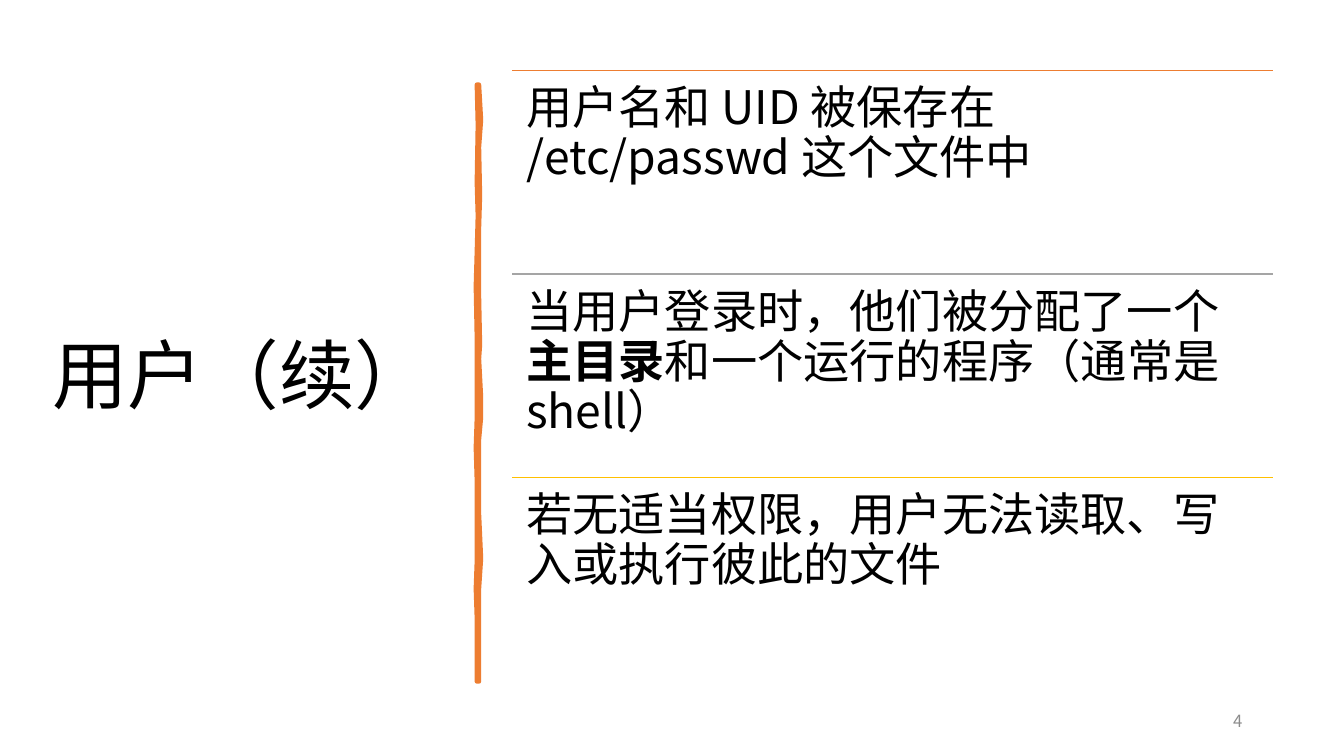
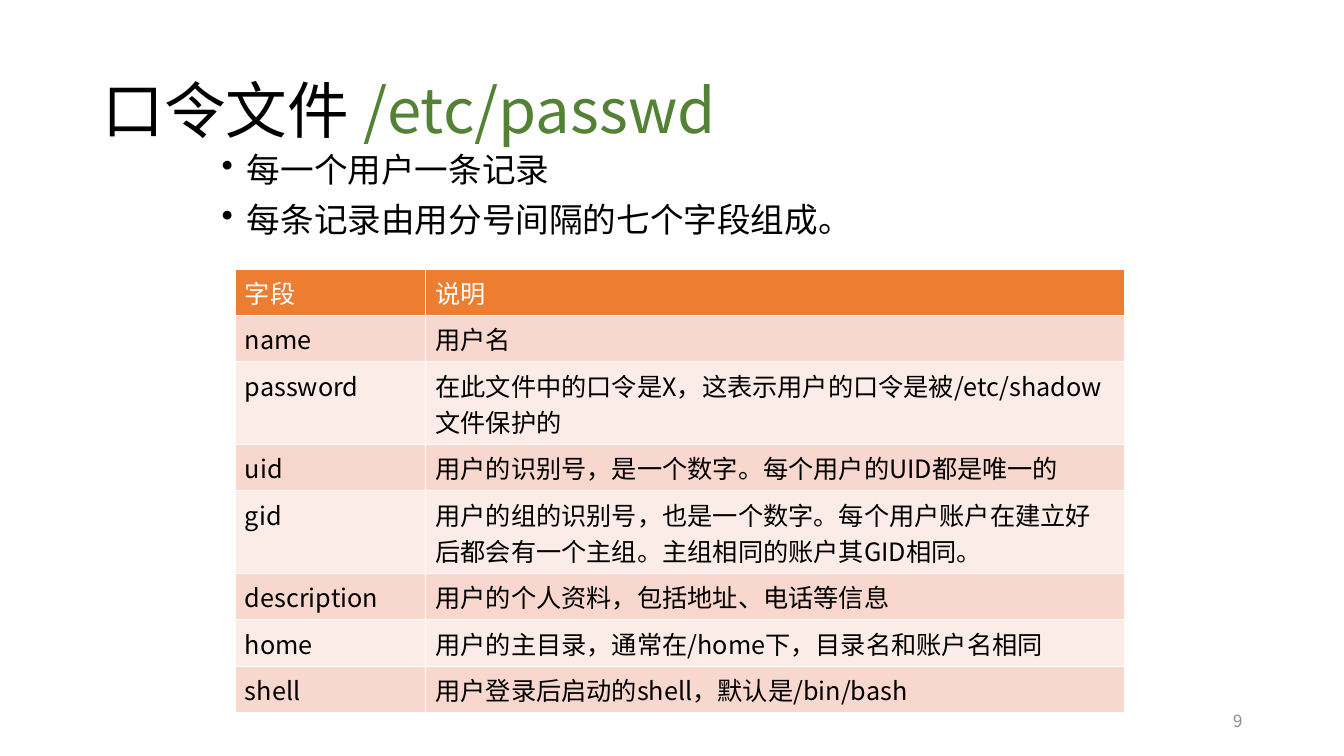
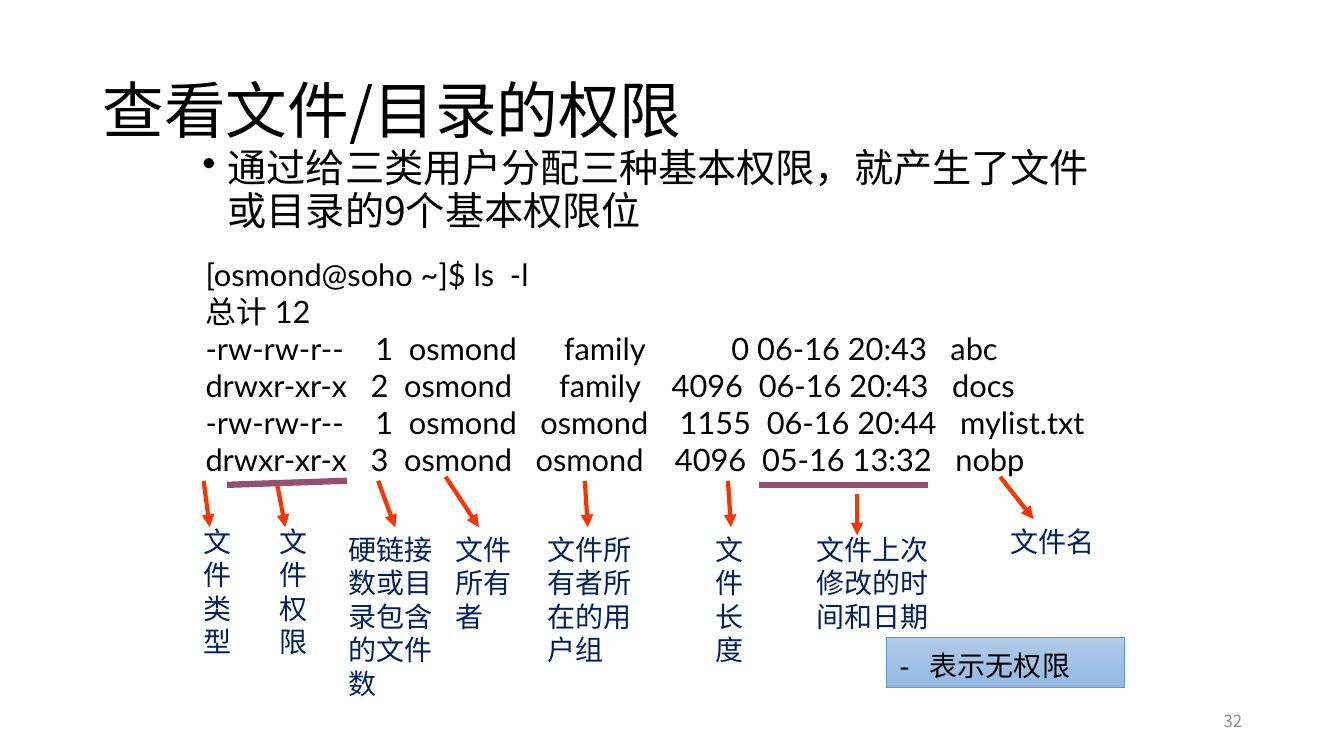
from lxml import etree
from pptx import Presentation
from pptx.dml.color import RGBColor
from pptx.enum.shapes import MSO_CONNECTOR, MSO_SHAPE
from pptx.enum.text import MSO_ANCHOR, PP_ALIGN
from pptx.oxml.ns import qn
from pptx.util import Pt

PX = 9144
STRAIGHT = MSO_CONNECTOR.STRAIGHT
RECT = MSO_SHAPE.RECTANGLE
TOP, MIDDLE = MSO_ANCHOR.TOP, MSO_ANCHOR.MIDDLE
LEFT, RIGHT = PP_ALIGN.LEFT, PP_ALIGN.RIGHT
SANS, LATO, MONO = "Noto Sans CJK SC", "Lato", "Courier New"
TIGHT = 0.9

COLORS = {
    "text": "000000",
    "white": "FFFFFF",
    "orange": "ED7D31",
    "gray": "A5A5A5",
    "gold": "FFC000",
    "green": "548235",
    "navy": "002060",
    "page": "8C8C8C",
    "band_dark": "F8D7CE",
    "band_light": "FCECE8",
    "arrow": "FF3300",
    "underline": "954F72",
    "note_line": "5B9BD5",
    "note_top": "B1CBE9",
    "note_bottom": "93B9E4",
}
TITLE_BOX = (92, 40, 1150, 145)
PAGE_BOX = (942, 695, 300, 40)


def rgb(name):
    return RGBColor.from_string(COLORS[name])


def emu(*lengths):
    return [n * PX for n in lengths]


def style(p, size, color="text", font=SANS, spacing=None, align=LEFT):
    p.alignment = align
    if spacing:
        p.line_spacing = spacing
    p.font.size = Pt(size)
    p.font.name = font
    p.font.bold = False
    p.font.color.rgb = rgb(color)
    props = p._p.get_or_add_pPr().find(qn("a:defRPr"))
    etree.SubElement(props, qn("a:ea")).set("typeface", font)


def add_bullet(p):
    pPr = p._p.get_or_add_pPr()
    pPr.set("marL", str(25 * PX))
    pPr.set("indent", str(-25 * PX))
    bullet = etree.Element(qn("a:buChar"))
    bullet.set("char", "•")
    pPr.find(qn("a:defRPr")).addprevious(bullet)


def write(tf, paragraphs, size, bullets=False, **kw):
    for i, runs in enumerate(paragraphs):
        p = tf.add_paragraph() if i else tf.paragraphs[0]
        for text, color, bold in runs:
            r = p.add_run()
            r.text = text
            if color:
                r.font.color.rgb = rgb(color)
            if bold:
                r.font.bold = True
        style(p, size, **kw)
        if bullets:
            p.space_before = Pt(10)
            add_bullet(p)


def plain(*lines):
    return [[(line, None, False)] for line in lines]


def add_text(s, box, paragraphs, size, anchor=TOP, inset=None, **kw):
    tf = s.shapes.add_textbox(*emu(*box)).text_frame
    tf.word_wrap = True
    tf.vertical_anchor = anchor
    if inset:
        tf.margin_left = tf.margin_right = inset * PX
        tf.margin_top = tf.margin_bottom = inset * PX
    write(tf, paragraphs, size, **kw)


def add_line(s, start, end, color, width, arrow=False):
    c = s.shapes.add_connector(STRAIGHT, *emu(*start, *end))
    c.line.color.rgb = rgb(color)
    c.line.width = Pt(width)
    if arrow:
        tail = etree.SubElement(c.line._get_or_add_ln(), qn("a:tailEnd"))
        tail.set("type", "triangle")
    etree.SubElement(c._element.spPr, qn("a:effectLst"))


def new_slide(prs, number, title, title_box=TITLE_BOX, title_size=44):
    s = prs.slides.add_slide(prs.slide_layouts[6])
    add_text(s, title_box, title, title_size, MIDDLE, spacing=TIGHT)
    add_text(s, PAGE_BOX, plain(str(number)), 12, MIDDLE, color="page", align=RIGHT)
    return s


def add_brush_stroke(s, x, y):
    right = [(2, 0), (4, 35), (2, 62), (3, 110), (2, 142), (2, 210), (3, 258),
             (2, 272), (4, 310), (4, 330), (2, 352), (2, 426), (4, 470),
             (2, 500), (2, 592)]
    left = [(0, 592), (0, 529), (-1, 500), (0, 473), (0, 393), (-1, 360),
            (0, 331), (0, 251), (-1, 200), (0, 166), (1, 130), (0, 97),
            (1, 40), (0, 0)]
    (dx, dy), *rest = right + left
    builder = s.shapes.build_freeform(x + dx, y + dy, scale=PX)
    builder.add_line_segments([(x + dx, y + dy) for dx, dy in rest], close=True)
    sp = builder.convert_to_shape()
    sp.shadow.inherit = False
    sp.fill.solid()
    sp.fill.fore_color.rgb = rgb("orange")
    sp.line.color.rgb = rgb("orange")
    sp.line.width = Pt(3.25)


def add_ruled_list(s, box, items):
    x, y, w, h = box
    row = h // len(items)
    for i, (color, runs) in enumerate(items):
        top = y + i * row
        add_line(s, (x, top), (x + w, top), color, 1)
        add_text(s, (x, top, w, row), [runs], 33, inset=14, spacing=TIGHT)


def set_borders(cell):
    tcPr = cell._tc.get_or_add_tcPr()
    for side in "LRTB":
        ln = etree.SubElement(tcPr, qn("a:ln" + side))
        ln.set("w", str(Pt(1)))
        fill = etree.SubElement(ln, qn("a:solidFill"))
        etree.SubElement(fill, qn("a:srgbClr")).set("val", COLORS["white"])


def add_field_table(s, x, y, widths, rows):
    heights = [height for height, *_ in rows]
    frame = s.shapes.add_table(len(rows), len(widths),
                               *emu(x, y, sum(widths), sum(heights)))
    table = frame.table
    for col, width in zip(table.columns, widths):
        col.width = width * PX
    for i, (height, *texts) in enumerate(rows):
        table.rows[i].height = height * PX
        band = "band_dark" if i % 2 else "band_light"
        for j, text in enumerate(texts):
            cell = table.cell(i, j)
            set_borders(cell)
            cell.fill.solid()
            cell.fill.fore_color.rgb = rgb(band if i else "orange")
            write(cell.text_frame, plain(text), 18, color="text" if i else "white")


def add_listing_labels(s, x, y):
    labels = [
        ("文件类型", 0, 0, 50, 143),
        ("文件权限", 75, 0, 58, 143),
        ("硬链接数或目录包含的文件数", 144, 8, 110, 178),
        ("文件所有者", 250, 8, 83, 110),
        ("文件所有者所在的用户组", 341, 8, 108, 143),
        ("文件长度", 508, 8, 58, 143),
        ("文件上次修改的时间和日期", 608, 8, 133, 110),
        ("文件名", 800, 0, 116, 43),
    ]
    for text, dx, dy, w, h in labels:
        add_text(s, (x + dx, y + dy, w, h), plain(text), 20, color="navy")


def add_listing_marks(s, x, y):
    underlines = [(33, 8, 152, 4), (561, 8, 728, 8)]
    arrows = [(10, 4, 16, 50), (83, 8, 91, 50), (183, 4, 200, 50),
              (250, 0, 283, 50), (388, 4, 391, 50), (530, 4, 533, 50),
              (658, 17, 658, 58), (800, 0, 833, 42)]
    for color, width, arrow, marks in (("underline", 4.5, False, underlines),
                                       ("arrow", 3, True, arrows)):
        for x1, y1, x2, y2 in marks:
            add_line(s, (x + x1, y + y1), (x + x2, y + y2), color, width, arrow)


def add_note(s, box, text):
    sp = s.shapes.add_shape(RECT, *emu(*box))
    sp.shadow.inherit = False
    sp.fill.gradient()
    sp.fill.gradient_angle = 270
    for stop, color in zip(sp.fill.gradient_stops, ("note_top", "note_bottom")):
        stop.color.rgb = rgb(color)
    sp.line.color.rgb = rgb("note_line")
    sp.line.width = Pt(0.5)
    tf = sp.text_frame
    tf.word_wrap = True
    tf.vertical_anchor = TOP
    write(tf, plain(text), 20, font=MONO, spacing=1.2)


def users_slide(prs):
    s = new_slide(prs, 4, plain("用户（续）"), (42, 70, 401, 611), 54)
    add_brush_stroke(s, 473, 84)
    add_ruled_list(s, (508, 70, 755, 606), [
        ("orange", [("用户名和 UID 被保存在 /etc/passwd 这个文件中", None, False)]),
        ("gray", [("当用户登录时，他们被分配了一个", None, False),
                  ("主目录", None, True),
                  ("和一个运行的程序（通常是 shell）", None, False)]),
        ("gold", [("若无适当权限，用户无法读取、写入或执行彼此的文件", None, False)]),
    ])


def passwd_slide(prs):
    s = new_slide(prs, 9, [[("口令文件 ", None, False),
                            ("/etc/passwd", "green", False)]])
    add_text(s, (210, 147, 900, 106),
             plain("每一个用户一条记录", "每条记录由用分号间隔的七个字段组成。"),
             24, bullets=True, spacing=TIGHT)
    add_field_table(s, 233, 267, (189, 693), [
        (46, "字段", "说明"),
        (46, "name", "用户名"),
        (82, "password", "在此文件中的口令是X，这表示用户的口令是被/etc/shadow文件保护的"),
        (46, "uid", "用户的识别号，是一个数字。每个用户的UID都是唯一的"),
        (82, "gid", "用户的组的识别号，也是一个数字。每个用户账户在建立好后都会有一个主组。"
                    "主组相同的账户其GID相同。"),
        (46, "description", "用户的个人资料，包括地址、电话等信息"),
        (46, "home", "用户的主目录，通常在/home下，目录名和账户名相同"),
        (46, "shell", "用户登录后启动的shell，默认是/bin/bash"),
    ])


def permissions_slide(prs):
    s = new_slide(prs, 32, plain("查看文件/目录的权限"))
    add_text(s, (191, 143, 900, 106),
             plain("通过给三类用户分配三种基本权限，就产生了文件或目录的9个基本权限位"),
             28, bullets=True, spacing=TIGHT)
    add_text(s, (194, 249, 953, 232), plain(
        "[osmond@soho ~]$ ls  -l",
        "总计 12",
        "-rw-rw-r--    1  osmond      family           0 06-16 20:43   abc",
        "drwxr-xr-x   2  osmond      family    4096  06-16 20:43   docs",
        "-rw-rw-r--    1  osmond   osmond    1155  06-16 20:44   mylist.txt",
        "drwxr-xr-x   3  osmond   osmond    4096  05-16 13:32   nobp",
    ), 22, font=LATO)
    add_listing_labels(s, 192, 515)
    add_listing_marks(s, 192, 473)
    add_note(s, (879, 632, 236, 50), "- 表示无权限")


def main():
    prs = Presentation()
    prs.slide_width, prs.slide_height = emu(1333, 750)
    users_slide(prs)
    passwd_slide(prs)
    permissions_slide(prs)
    prs.save("out.pptx")


if __name__ == "__main__":
    main()
